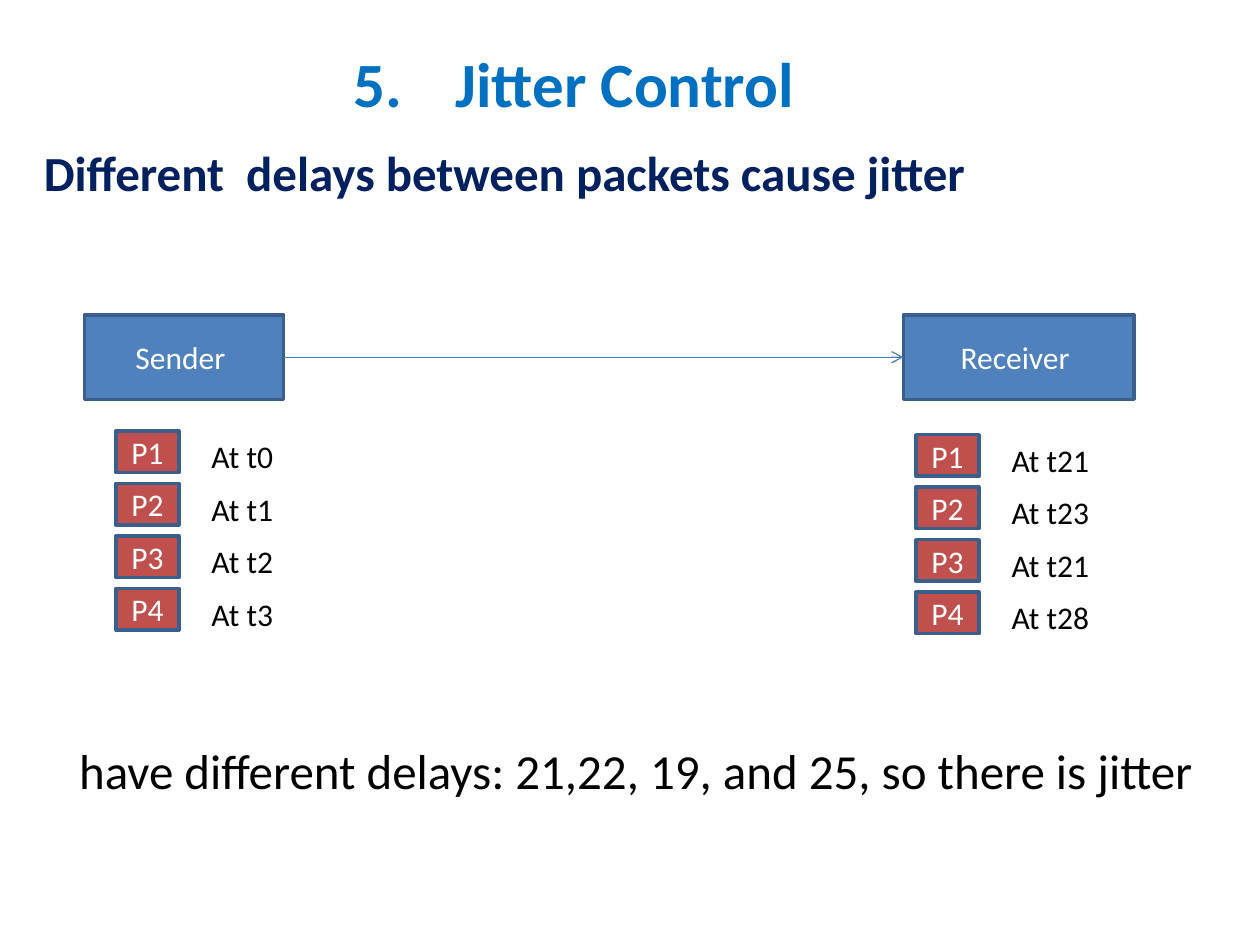
from dataclasses import dataclass

from lxml import etree
from pptx import Presentation
from pptx import util as u
from pptx.dml.color import RGBColor
from pptx.enum import shapes, text
from pptx.oxml.ns import qn

COLORS = {
    "title": "0070C0", "subtitle": "002060", "node": "4F81BD", "packet": "C0504D",
    "outline": "3A5F8C", "link": "4B7EBC", "light": "FFFFFF", "dark": "000000",
}
FONT = "Calibri"
ROW_PITCH = 1.25 / 3
LABEL_OFFSET = 0.66


@dataclass
class Area:
    left: float
    top: float
    width: float
    height: float

    def lengths(self):
        return [u.Inches(n) for n in (self.left, self.top, self.width, self.height)]


@dataclass
class Host:
    name: str
    area: Area
    packets_left: float
    packets_top: float
    label_width: float
    times: list[str]


HOSTS = [
    Host("Sender ", Area(0.67, 2.5, 1.58, 0.67), 0.92, 3.42, 0.75,
         ["t0", "t1", "t2", "t3"]),
    Host("Receiver ", Area(7.17, 2.5, 1.83, 0.67), 7.27, 3.45, 1.07,
         ["t21", "t23", "t21", "t28"]),
]


def write(shape, words: str, size: float, color: str, bold: bool = False,
          centered: bool = False):
    """Set one paragraph of text on a shape, format it and return it."""
    frame = shape.text_frame
    frame.word_wrap = True
    frame.text = words
    para = frame.paragraphs[0]
    para.alignment = text.PP_ALIGN.CENTER if centered else text.PP_ALIGN.LEFT
    font = para.runs[0].font
    font.name, font.size, font.bold = FONT, u.Pt(size), bold
    font.color.rgb = RGBColor.from_string(COLORS[color])
    return para


def add_text(page, area: Area, words: str, size: float, color: str = "dark", **style):
    box = page.shapes.add_textbox(*area.lengths())
    box.text_frame.auto_size = text.MSO_AUTO_SIZE.SHAPE_TO_FIT_TEXT
    return write(box, words, size, color, **style)


def add_block(page, area: Area, words: str, fill: str):
    block = page.shapes.add_shape(shapes.MSO_SHAPE.RECTANGLE, *area.lengths())
    block.shadow.inherit = False
    block.fill.solid()
    block.fill.fore_color.rgb = RGBColor.from_string(COLORS[fill])
    block.line.color.rgb = RGBColor.from_string(COLORS["outline"])
    block.line.width = u.Pt(2)
    block.text_frame.vertical_anchor = text.MSO_ANCHOR.MIDDLE
    write(block, words, 18, "light", centered=True)
    return block


def number_paragraph(para, start: int, indent: float):
    """Number a paragraph from start, with a hanging indent in inches."""
    properties = para._p.get_or_add_pPr()
    properties.set("marL", str(u.Inches(indent)))
    properties.set("indent", str(-u.Inches(indent)))
    etree.SubElement(properties, qn("a:buFont"), typeface="+mj-lt")
    etree.SubElement(properties, qn("a:buAutoNum"), type="arabicPeriod", startAt=str(start))


def add_arrow(page, source, target):
    """Join the right side of source to the left side of target."""
    arrow = page.shapes.add_connector(shapes.MSO_CONNECTOR.STRAIGHT, 0, 0, 0, 0)
    arrow.begin_connect(source, 3)
    arrow.end_connect(target, 1)
    arrow.line.color.rgb = RGBColor.from_string(COLORS["link"])
    arrow.line.width = u.Pt(0.75)
    etree.SubElement(arrow.line._get_or_add_ln(), qn("a:tailEnd"), type="arrow")
    etree.SubElement(arrow._element.spPr, qn("a:effectLst"))


def add_packets(page, host: Host):
    for row, time in enumerate(host.times):
        top = host.packets_top + row * ROW_PITCH
        add_block(page, Area(host.packets_left, top, 0.5, 0.33), f"P{row + 1}", "packet")
        label = Area(host.packets_left + LABEL_OFFSET, top, host.label_width, 0.4)
        add_text(page, label, f"At {time}", 18)


def main():
    deck = Presentation()
    deck.slide_width, deck.slide_height = u.Inches(10), u.Inches(7.5)
    page = deck.slides.add_slide(deck.slide_layouts[6])

    title = add_text(page, Area(0.25, 0, 8.61, 1.01), "Jitter Control", 36, "title",
                     bold=True, centered=True)
    title.line_spacing = 1.5
    number_paragraph(title, start=5, indent=0.81)
    add_text(page, Area(0.25, 1.08, 8.08, 0.57),
             "Different  delays between packets cause jitter", 28, "subtitle", bold=True)

    sender, receiver = [add_block(page, host.area, host.name, "node") for host in HOSTS]
    add_arrow(page, sender, receiver)
    for host in HOSTS:
        add_packets(page, host)

    add_text(page, Area(0.42, 5.83, 9.25, 0.57),
             "have different delays: 21,22, 19, and 25, so there is jitter", 28,
             centered=True)
    deck.save("out.pptx")


if __name__ == "__main__":
    main()
